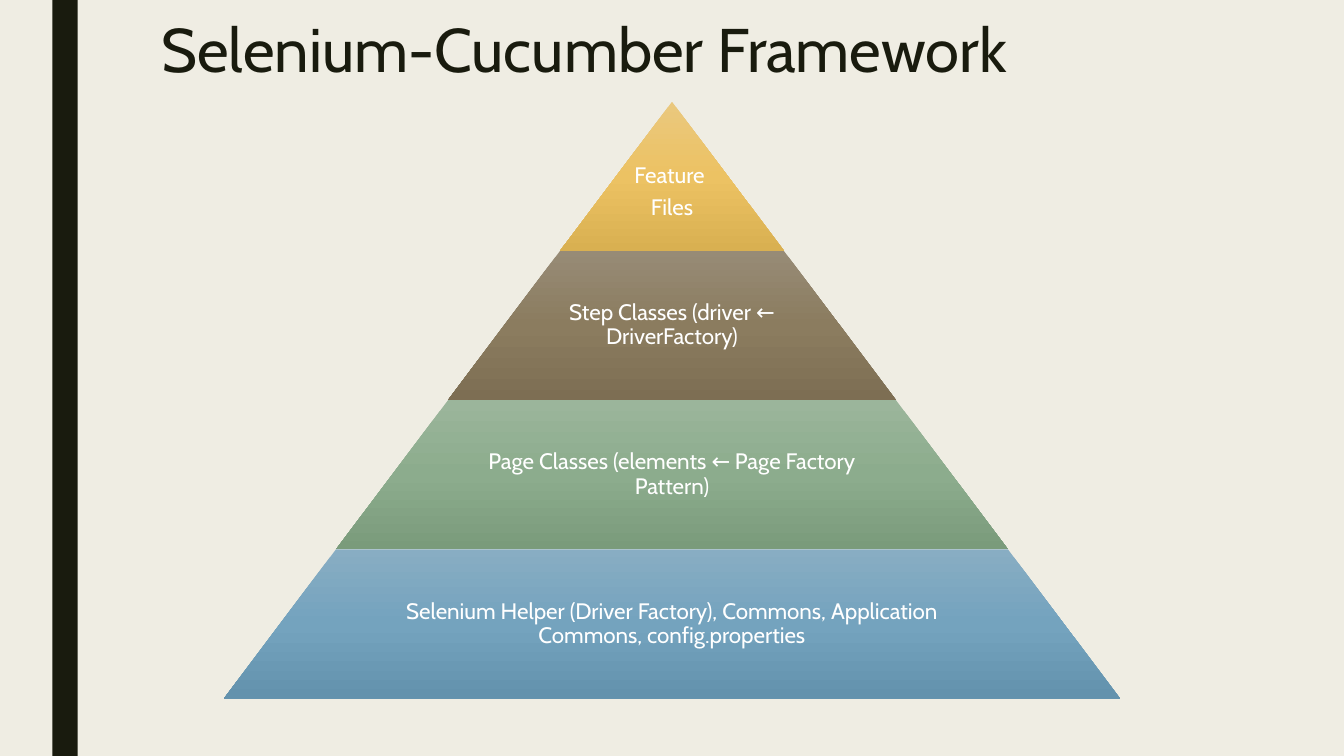
"""Build the test framework pyramid slide."""
from copy import deepcopy
from dataclasses import dataclass

from pptx import Presentation
from pptx.dml.color import RGBColor
from pptx.enum.shapes import MSO_SHAPE
from pptx.enum.text import MSO_ANCHOR, MSO_AUTO_SIZE, PP_ALIGN
from pptx.oxml.ns import qn
from pptx.slide import Slide
from pptx.text.text import TextFrame, _Paragraph
from pptx.util import Inches, Pt

RECT, TRAP = MSO_SHAPE.RECTANGLE, MSO_SHAPE.TRAPEZOID
TOP, MIDDLE = MSO_ANCHOR.TOP, MSO_ANCHOR.MIDDLE
LEFT, CENTER = PP_ALIGN.LEFT, PP_ALIGN.CENTER
NO_FIT = MSO_AUTO_SIZE.NONE

CREAM = RGBColor(0xEF, 0xED, 0xE3)
INK = RGBColor(0x19, 0x1B, 0x0E)
WHITE = RGBColor(0xFF, 0xFF, 0xFF)
GOLD = (RGBColor(0xEA, 0xC8, 0x7E), RGBColor(0xEC, 0xC2, 0x63), RGBColor(0xD9, 0xB0, 0x51))
BROWN = (RGBColor(0x97, 0x8B, 0x76), RGBColor(0x8B, 0x7C, 0x5F), RGBColor(0x7D, 0x6E, 0x53))
GREEN = (RGBColor(0x9B, 0xB5, 0x9B), RGBColor(0x8C, 0xAC, 0x8D), RGBColor(0x7A, 0x9B, 0x7B))
BLUE = (RGBColor(0x88, 0xAD, 0xC3), RGBColor(0x74, 0xA3, 0xBE), RGBColor(0x63, 0x92, 0xAD))

FONT = "Cabin"
WIDE, HIGH = 13.33, 7.5
COL = WIDE / 12
ROW = 1.48
PEAK = 1.01
INSET = 0.02


@dataclass(frozen=True)
class Tier:
    """One level of the pyramid."""
    lines: tuple[str, ...]
    shades: tuple[RGBColor, ...]
    share: float = 0.65
    drop: float = INSET


TIERS = (
    Tier(("Feature ", "Files"), GOLD, share=1, drop=0.34),
    Tier(("Step Classes (driver ← DriverFactory)",), BROWN),
    Tier(("Page Classes (elements ← Page Factory Pattern)",), GREEN),
    Tier(("Selenium Helper (Driver Factory), Commons, Application Commons, config.properties",), BLUE),
)


def place(left: float, top: float, width: float, height: float) -> tuple[Inches, ...]:
    """Turn a box in inches into slide lengths."""
    return tuple(Inches(n) for n in (left, top, width, height))


def add_run(para: _Paragraph, text: str, size: int, color: RGBColor) -> None:
    """Add one styled run."""
    run = para.add_run()
    run.text = text
    run.font.name, run.font.size = FONT, Pt(size)
    run.font.color.rgb = color


def set_frame(frame: TextFrame, anchor: MSO_ANCHOR) -> None:
    """Wrap the text and fix its anchor."""
    frame.word_wrap = True
    frame.auto_size = NO_FIT
    frame.vertical_anchor = anchor


def add_title(slide: Slide, text: str) -> None:
    """Move and fill the title placeholder."""
    title = slide.shapes.title
    title.left, title.top, title.width, title.height = place(1.5, 0.15, 10.5, 1.62)
    set_frame(title.text_frame, TOP)
    para = title.text_frame.paragraphs[0]
    para.alignment, para.line_spacing = LEFT, 0.89
    add_run(para, text, 44, INK)


def add_bar(slide: Slide) -> None:
    """Draw the dark band at the left."""
    bar = slide.shapes.add_shape(RECT, *place(0.52, 0, 0.25, HIGH))
    bar.shadow.inherit = False
    bar.fill.solid()
    bar.fill.fore_color.rgb = INK
    bar.line.fill.background()


def add_tier(slide: Slide, level: int, tier: Tier) -> None:
    """Draw one pyramid level and its label."""
    width, top = 2 * COL * (level + 1), PEAK + level * ROW
    slab = slide.shapes.add_shape(TRAP, *place((WIDE - width) / 2, top, width, ROW))
    slab.adjustments[0] = COL / ROW
    slab.shadow.inherit = False
    slab.line.fill.background()
    slab.fill.gradient()
    slab.fill.gradient_angle = 270
    stops = next(slab._element.iter(qn("a:gsLst")))
    stops.append(deepcopy(stops[-1]))
    for step, (stop, shade) in enumerate(zip(slab.fill.gradient_stops, tier.shades)):
        stop.position = step / 2
        stop.color.rgb = shade

    span = width * tier.share
    frame = slide.shapes.add_textbox(*place((WIDE - span) / 2, top, span, ROW)).text_frame
    set_frame(frame, MIDDLE)
    frame.margin_left = frame.margin_right = frame.margin_bottom = Inches(INSET)
    frame.margin_top = Inches(tier.drop)
    for index, line in enumerate(tier.lines):
        para = frame.add_paragraph() if index else frame.paragraphs[0]
        para.alignment, para.line_spacing = CENTER, 0.9
        para.space_after = Pt(5.6)
        add_run(para, line, 16, WHITE)


def main() -> None:
    """Build and save the deck."""
    deck = Presentation()
    deck.slide_width, deck.slide_height = Inches(WIDE), Inches(HIGH)
    slide = deck.slides.add_slide(deck.slide_layouts[5])
    slide.background.fill.solid()
    slide.background.fill.fore_color.rgb = CREAM
    add_bar(slide)
    add_title(slide, "Selenium-Cucumber Framework")
    for level, tier in enumerate(TIERS):
        add_tier(slide, level, tier)
    deck.save("out.pptx")


if __name__ == "__main__":
    main()
